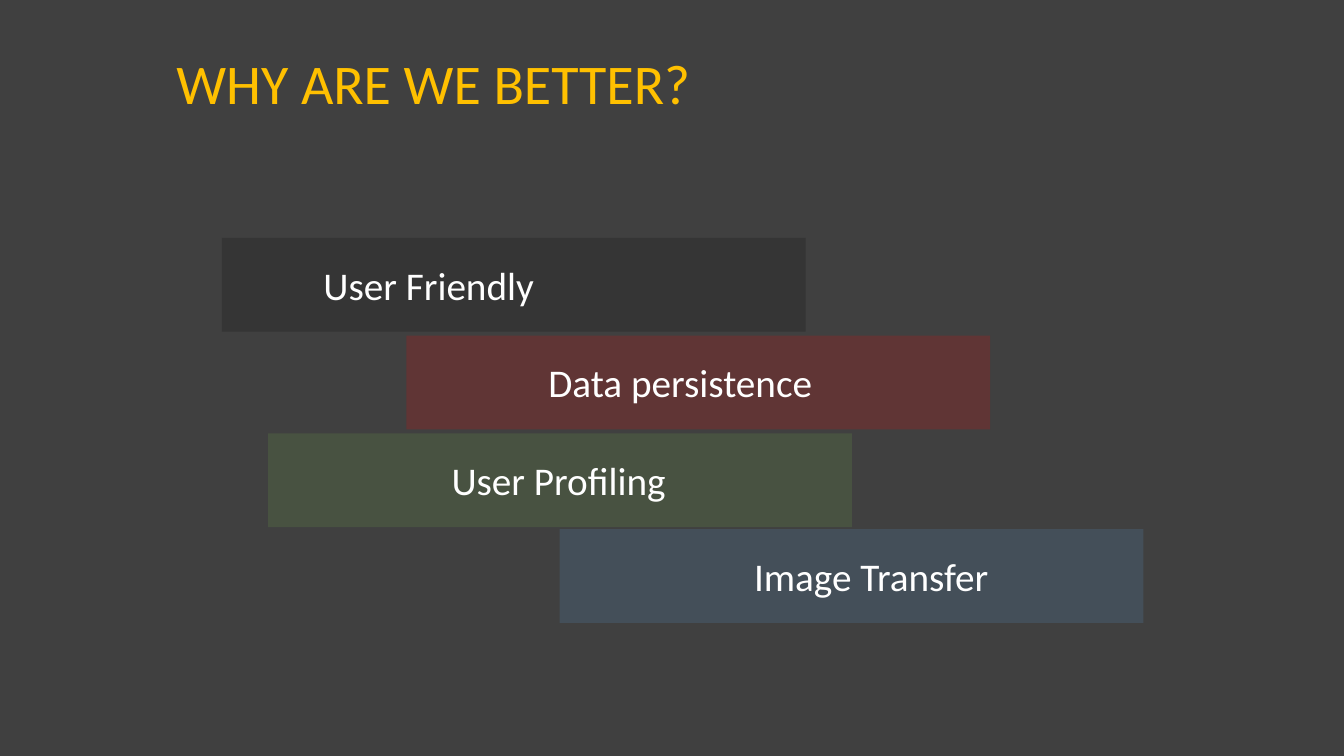
from lxml import etree
from pptx import Presentation
from pptx import util as u
from pptx.dml import color
from pptx.enum import shapes, text
from pptx.oxml import ns

COLOURS = {
    "background": "404040",
    "title": "FFC000",
    "label": "FFFFFF",
    "black": "000000",
    "red": "FF0000",
    "green": "70AD47",
    "blue": "5B9BD5",
}
BAR_WIDTH, BAR_HEIGHT = 5.79, 0.93
LABEL_HEIGHT = 0.57
BAR_OPACITY = 17
STRENGTHS = [
    ("User Friendly", "black", 2.2, 2.36, 3.11, 2.6),
    ("Data persistence", "red", 4.03, 3.33, 5.34, 2.85),
    ("User Profiling", "green", 2.66, 4.3, 4.38, 2.35),
    ("Image Transfer", "blue", 5.55, 5.25, 7.38, 2.55),
]
FRAME_FORMAT = {
    "word_wrap": True,
    "auto_size": text.MSO_AUTO_SIZE.NONE,
    "vertical_anchor": text.MSO_ANCHOR.TOP,
}


def rgb(name):
    return color.RGBColor.from_string(COLOURS[name])


def set_attributes(target, values):
    for name, value in values.items():
        setattr(target, name, value)


def place(shape, left, top, width, height):
    box = {"left": left, "top": top, "width": width, "height": height}
    set_attributes(shape, {name: u.Inches(value) for name, value in box.items()})


def write(shape, wording, size, colour):
    frame = shape.text_frame
    set_attributes(frame, FRAME_FORMAT)
    frame.text = wording
    paragraph = frame.paragraphs[0]
    paragraph.alignment = text.PP_ALIGN.LEFT
    set_attributes(paragraph.font, {"name": "Calibri", "size": u.Pt(size)})
    paragraph.font.color.rgb = rgb(colour)


def add_title(slide, wording):
    title = slide.shapes.title
    place(title, 1.65, 0.43, 6.79, 0.77)
    write(title, wording, 40, "title")


def add_bar(slide, colour, left, top):
    bar = slide.shapes.add_shape(
        shapes.MSO_SHAPE.RECTANGLE,
        *map(u.Inches, (left, top, BAR_WIDTH, BAR_HEIGHT)),
    )
    bar.shadow.inherit = False
    bar.line.fill.background()
    bar.fill.solid()
    bar.fill.fore_color.rgb = rgb(colour)
    fill_colour = bar.fill._xPr.find(ns.qn("a:solidFill"))[0]
    alpha = etree.SubElement(fill_colour, ns.qn("a:alpha"))
    alpha.set("val", str(BAR_OPACITY * 1000))


def add_label(slide, wording, left, top, width):
    label = slide.shapes.add_textbox(
        *map(u.Inches, (left, top, width, LABEL_HEIGHT))
    )
    write(label, wording, 28, "label")


def main():
    presentation = Presentation()
    presentation.slide_width = u.Inches(13.33)
    presentation.slide_height = u.Inches(7.5)
    slide = presentation.slides.add_slide(presentation.slide_layouts[5])
    slide.background.fill.solid()
    slide.background.fill.fore_color.rgb = rgb("background")
    add_title(slide, "WHY ARE WE BETTER?")
    for wording, colour, bar_left, top, label_left, label_width in STRENGTHS:
        add_bar(slide, colour, bar_left, top)
        label_top = top + (BAR_HEIGHT - LABEL_HEIGHT) / 2
        add_label(slide, wording, label_left, label_top, label_width)
    presentation.save("out.pptx")


if __name__ == "__main__":
    main()
